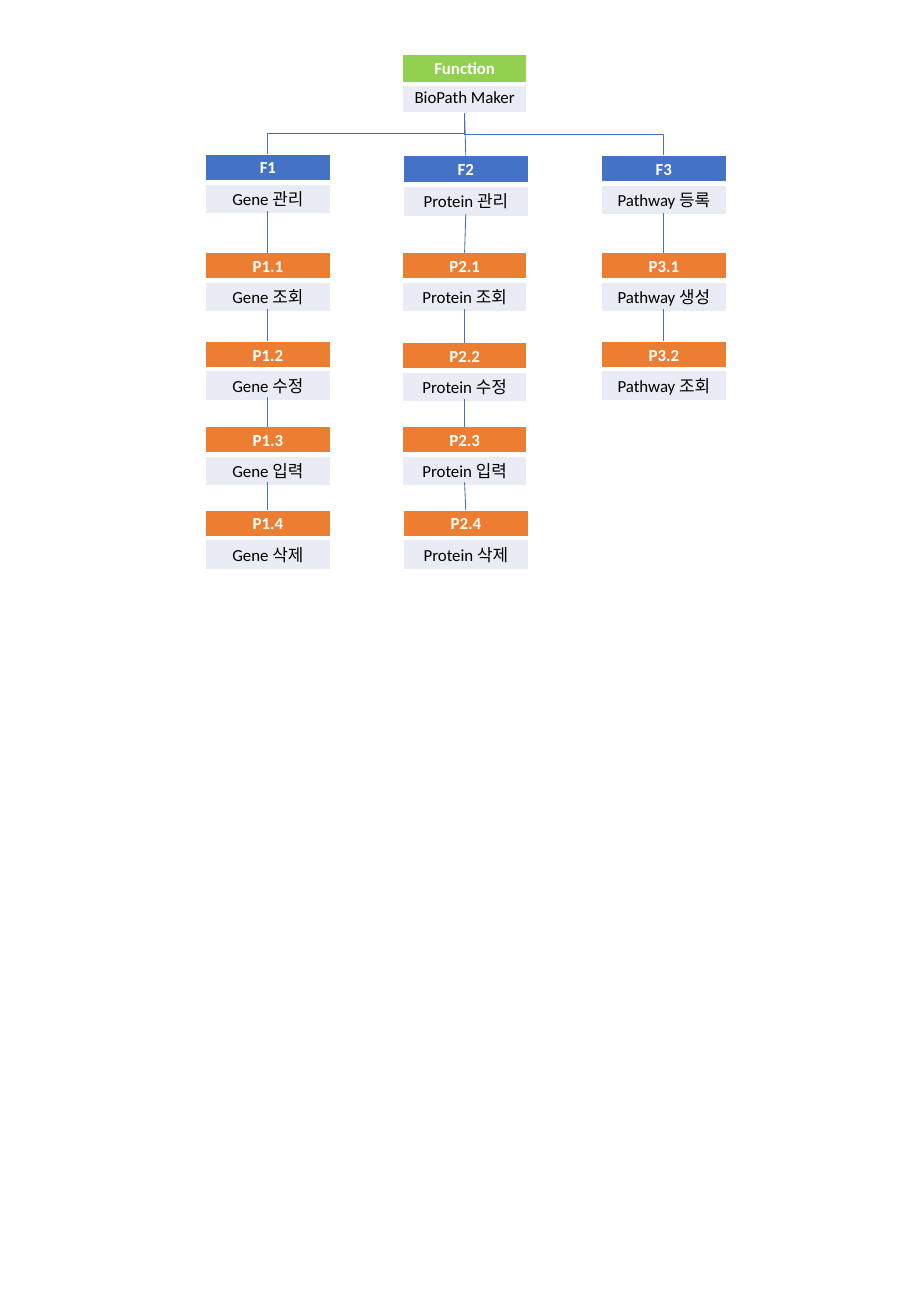
from dataclasses import dataclass
from itertools import pairwise

from lxml import etree
from pptx import Presentation
from pptx import util as u
from pptx.dml.color import RGBColor
from pptx.enum import shapes, text
from pptx.oxml.ns import qn
from pptx.shapes.connector import Connector
from pptx.slide import Slide
from pptx.table import _Cell

EMU_PER_PX = 4572


@dataclass(frozen=True)
class Theme:
    font: str = "Calibri"
    text_size: int = 10
    line_width: float = 0.5
    thin_border: int = 1
    thick_border: int = 3
    white: str = "FFFFFF"
    black: str = "000000"
    root: str = "92D050"
    function: str = "4472C4"
    process: str = "ED7D31"
    body: str = "E9EBF5"
    line: str = "4472C4"


THEME = Theme()
SLIDE_WIDTH, SLIDE_HEIGHT = 1500, 2166
CARD_WIDTH, BODY_HEIGHT = 206, 48
INSET_X, INSET_Y = 12, 6


@dataclass(frozen=True)
class Card:
    code: str
    label: str
    left: int
    top: int
    header_height: int
    color: str

    @property
    def center(self) -> int:
        return self.left + CARD_WIDTH // 2

    @property
    def bottom(self) -> int:
        return self.top + self.header_height + BODY_HEIGHT


def function_card(code: str, label: str, left: int, top: int, header_height: int = 46) -> Card:
    return Card(code, label, left, top, header_height, THEME.function)


def process_card(code: str, label: str, left: int, top: int) -> Card:
    return Card(code, label, left, top, 44, THEME.process)


ROOT = Card("Function", "BioPath Maker", 662, 90, 48, THEME.root)
BRANCHES = [
    [
        function_card("F1", "Gene 관리", 338, 254),
        process_card("P1.1", "Gene 조회", 338, 416),
        process_card("P1.2", "Gene 수정", 338, 562),
        process_card("P1.3", "Gene 입력", 338, 702),
        process_card("P1.4", "Gene 삭제", 338, 840),
    ],
    [
        function_card("F2", "Protein 관리", 664, 256, 48),
        process_card("P2.1", "Protein 조회", 662, 416),
        process_card("P2.2", "Protein 수정", 662, 564),
        process_card("P2.3", "Protein 입력", 662, 702),
        process_card("P2.4", "Protein 삭제", 664, 840),
    ],
    [
        function_card("F3", "Pathway 등록", 990, 256),
        process_card("P3.1", "Pathway 생성", 990, 416),
        process_card("P3.2", "Pathway 조회", 990, 562),
    ],
]


def px(length: int) -> u.Emu:
    return u.Emu(length * EMU_PER_PX)


def set_borders(cell: _Cell, widths: dict[str, int]) -> None:
    properties = cell._tc.get_or_add_tcPr()
    for index, (side, width) in enumerate(widths.items()):
        border = etree.Element(qn(f"a:ln{side}"), w=str(u.Pt(width)))
        fill = etree.SubElement(border, qn("a:solidFill"))
        etree.SubElement(fill, qn("a:srgbClr"), val=THEME.white)
        properties.insert(index, border)


def fill_cell(cell: _Cell, words: str, fill: str, color: str, bold: bool) -> None:
    cell.fill.solid()
    cell.fill.fore_color.rgb = RGBColor.from_string(fill)
    cell.margin_left = cell.margin_right = px(INSET_X)
    cell.margin_top = cell.margin_bottom = px(INSET_Y)
    paragraph = cell.text_frame.paragraphs[0]
    paragraph.alignment = text.PP_ALIGN.CENTER
    run = paragraph.add_run()
    run.text = words
    run.font.name = THEME.font
    run.font.size = u.Pt(THEME.text_size)
    run.font.bold = bold
    run.font.color.rgb = RGBColor.from_string(color)


def draw_card(slide: Slide, card: Card) -> None:
    table = slide.shapes.add_table(
        2, 1, px(card.left), px(card.top), px(CARD_WIDTH), px(card.bottom - card.top)
    ).table
    table.horz_banding = False
    table.rows[0].height = px(card.header_height)
    table.rows[1].height = px(BODY_HEIGHT)
    header, body = table.cell(0, 0), table.cell(1, 0)
    fill_cell(header, card.code, card.color, THEME.white, True)
    fill_cell(body, card.label, THEME.body, THEME.black, False)
    thin, thick = THEME.thin_border, THEME.thick_border
    set_borders(header, {"L": thin, "R": thin, "T": thin, "B": thick})
    set_borders(body, {"L": thin, "R": thin, "T": thick, "B": thin})


def draw_line(
    slide: Slide,
    start: tuple[int, int],
    end: tuple[int, int],
    kind: shapes.MSO_CONNECTOR = shapes.MSO_CONNECTOR.STRAIGHT,
) -> Connector:
    connector = slide.shapes.add_connector(kind, *map(px, (*start, *end)))
    connector.line.color.rgb = RGBColor.from_string(THEME.line)
    connector.line.width = u.Pt(THEME.line_width)
    etree.SubElement(connector._element.spPr, qn("a:effectLst"))
    return connector


def draw_elbow(slide: Slide, child: Card, parent: Card) -> None:
    run_x = parent.center - child.center
    run_y = parent.bottom - child.top
    turn = 90 if run_x > 0 else 270
    sign = 1 if run_x > 0 else -1
    width, height = sign * run_y, -sign * run_x
    left = (child.center + parent.center - width) // 2
    top = (child.top + parent.bottom - height) // 2
    connector = draw_line(
        slide, (left, top), (left + width, top + height), shapes.MSO_CONNECTOR.ELBOW
    )
    connector._element.spPr.find(qn("a:xfrm")).set("rot", str(turn * 60000))


def main() -> None:
    presentation = Presentation()
    presentation.slide_width = px(SLIDE_WIDTH)
    presentation.slide_height = px(SLIDE_HEIGHT)
    slide = presentation.slides.add_slide(presentation.slide_layouts[6])
    draw_card(slide, ROOT)
    for branch in BRANCHES:
        for card in branch:
            draw_card(slide, card)
    gene, protein, pathway = (branch[0] for branch in BRANCHES)
    draw_elbow(slide, gene, ROOT)
    draw_elbow(slide, pathway, ROOT)
    draw_line(slide, (ROOT.center, ROOT.bottom), (protein.center, protein.top))
    for branch in BRANCHES:
        for upper, lower in pairwise(branch):
            draw_line(slide, (upper.center, upper.bottom), (lower.center, lower.top))
    presentation.save("out.pptx")


if __name__ == "__main__":
    main()
